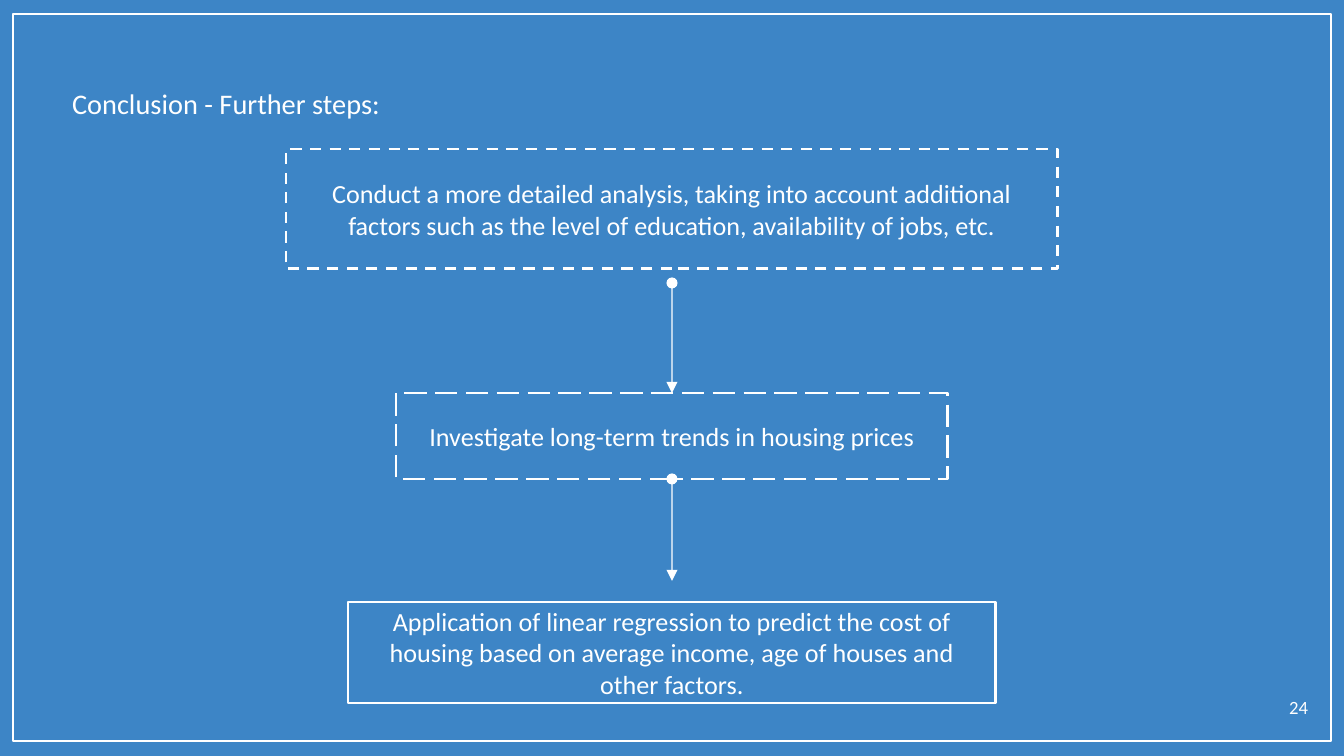
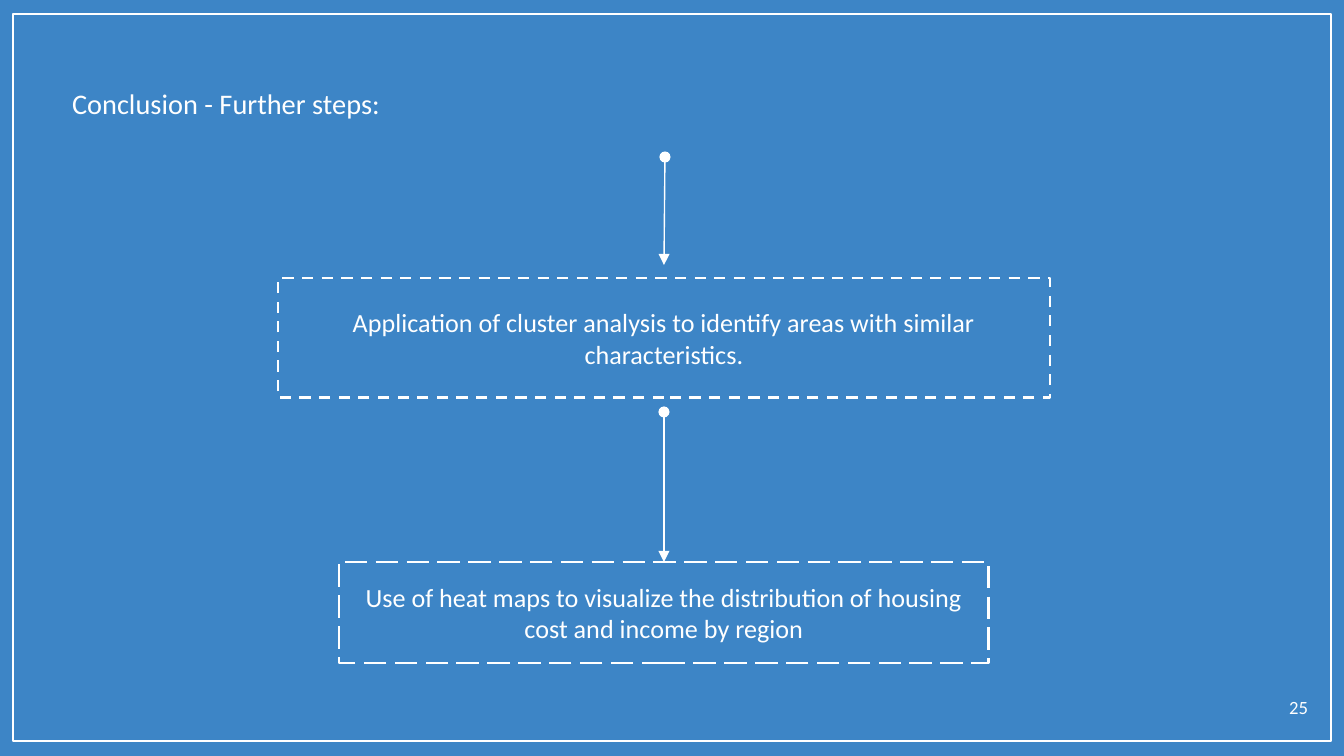
from lxml import etree
from pptx import Presentation
from pptx.dml.color import RGBColor
from pptx.enum.dml import MSO_LINE_DASH_STYLE as DASH
from pptx.enum.shapes import MSO_CONNECTOR, MSO_SHAPE
from pptx.enum.text import MSO_ANCHOR as ANCHOR, MSO_AUTO_SIZE, PP_ALIGN as ALIGN
from pptx.oxml.ns import qn
from pptx.util import Emu, Pt

BLUE, WHITE = "3D85C6", "FFFFFF"
FONT = "Calibri"
TITLE = "Conclusion - Further steps:"
SCALE = 914400 / 134.4  # EMU in one px


def px(*lengths):
    return [Emu(round(n * SCALE)) for n in lengths]


def put_text(sp, text, size=14, align=ALIGN.CENTER, anchor=ANCHOR.MIDDLE, inset=0, wrap=True):
    tf = sp.text_frame
    tf.auto_size = MSO_AUTO_SIZE.NONE
    tf.word_wrap = wrap
    tf.vertical_anchor = anchor
    tf.margin_left, tf.margin_right, tf.margin_top, tf.margin_bottom = px(13, 13, inset, inset)
    p = tf.paragraphs[0]
    p.alignment = align
    r = p.add_run()
    r.text = text
    r.font.name, r.font.size = FONT, Pt(size)
    r.font.color.rgb = RGBColor.from_string(WHITE)


# Steps: box, dash, text. Arrows: start, end, box joined at start, box joined at end.
slides = [
    {
        "number": "24",
        "steps": [
            ((286, 149, 772, 120), DASH.DASH,
             "Conduct a more detailed analysis, taking into account additional factors "
             "such as the level of education, availability of jobs, etc."),
            ((396, 393, 552, 86), DASH.LONG_DASH,
             "Investigate long-term trends in housing prices"),
            ((348, 602, 648, 101), DASH.SOLID,
             "Application of linear regression to predict the cost of housing based on "
             "average income, age of houses and other factors."),
        ],
        "arrows": [((672, 283), (672, 391), None, 1), ((672, 481), (672, 581), 1, None)],
    },
    {
        "number": "25",
        "steps": [
            ((278, 278, 772, 120), DASH.DASH,
             "Application of cluster analysis to identify areas with similar characteristics."),
            ((339, 562, 650, 101), DASH.LONG_DASH,
             "Use of heat maps to visualize the distribution of housing cost and income by region"),
        ],
        "arrows": [((665, 157), (664, 265), None, None), ((664, 412), (664, 560), None, 1)],
    },
]

prs = Presentation()
prs.slide_width, prs.slide_height = px(1344, 756)

# Shared background
fill = prs.slide_master.background.fill
fill.solid()
fill.fore_color.rgb = RGBColor.from_string(BLUE)

for content in slides:
    s = prs.slides.add_slide(prs.slide_layouts[5])

    # Title
    title = s.shapes.title
    title.left, title.top, title.width, title.height = px(59, 73, 1210, 60)
    put_text(title, TITLE, size=15.2, align=ALIGN.LEFT, anchor=ANCHOR.TOP, inset=13)

    # Thin frame, then the step boxes
    outlines = [((13, 14, 1318, 727), DASH.SOLID, "")] + content["steps"]
    boxes = []
    for i, (place, dash, text) in enumerate(outlines):
        sp = s.shapes.add_shape(MSO_SHAPE.RECTANGLE, *px(*place))
        sp.shadow.inherit = False
        sp.fill.background()
        sp.line.color.rgb = RGBColor.from_string(WHITE)
        sp.line.width = Pt(1.5 if i else 0.75)
        sp.line.dash_style = dash
        if text:
            put_text(sp, text)
            boxes.append(sp)

    # Arrows from a dot to a triangle
    for start, end, source, target in content["arrows"]:
        arrow = s.shapes.add_connector(MSO_CONNECTOR.STRAIGHT, *px(*start, *end))
        if source is not None:
            arrow.begin_connect(boxes[source], 2)
        if target is not None:
            arrow.end_connect(boxes[target], 0)
        arrow.line.color.rgb = RGBColor.from_string(WHITE)
        arrow.line.width = Pt(0.75)
        ln = arrow.line._get_or_add_ln()
        for tag, kind in (("a:headEnd", "oval"), ("a:tailEnd", "triangle")):
            etree.SubElement(ln, qn(tag), type=kind, w="med", len="med")
        etree.SubElement(arrow._element.spPr, qn("a:effectLst"))

    # Slide number
    number = s.shapes.add_textbox(*px(1271, 683, 50, 50))
    put_text(number, content["number"], size=10, align=ALIGN.RIGHT, anchor=ANCHOR.TOP,
             inset=13, wrap=False)

prs.save("out.pptx")
